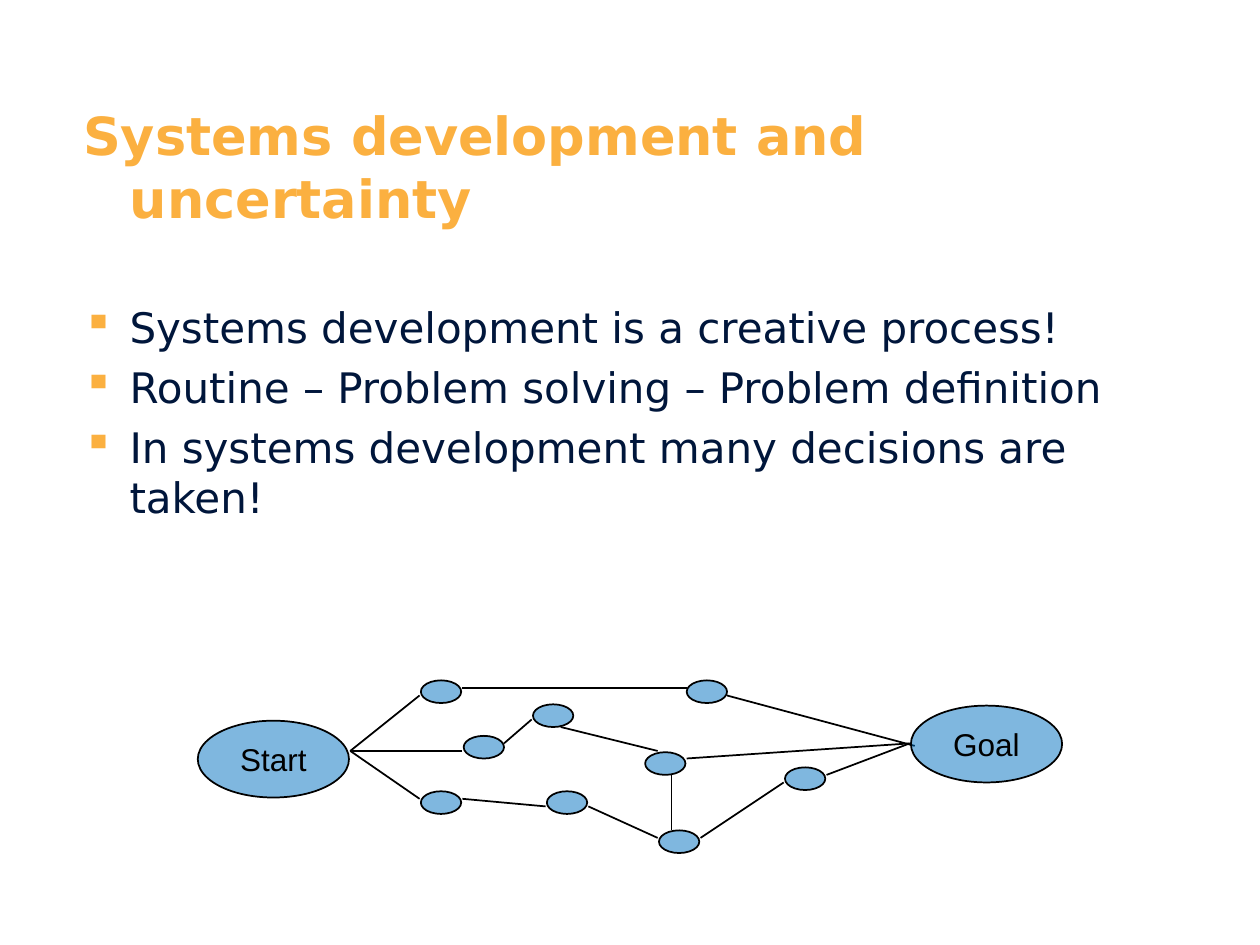
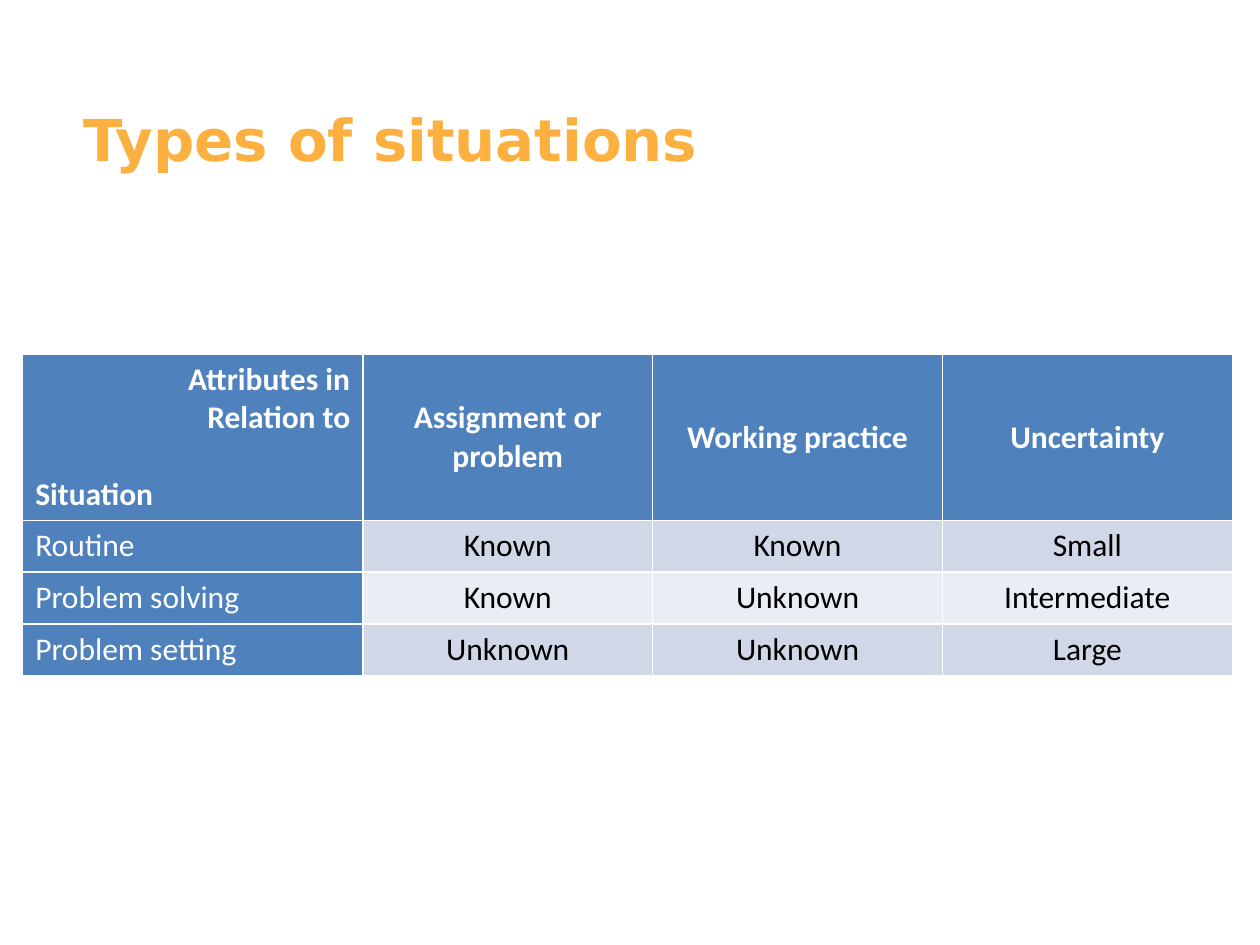
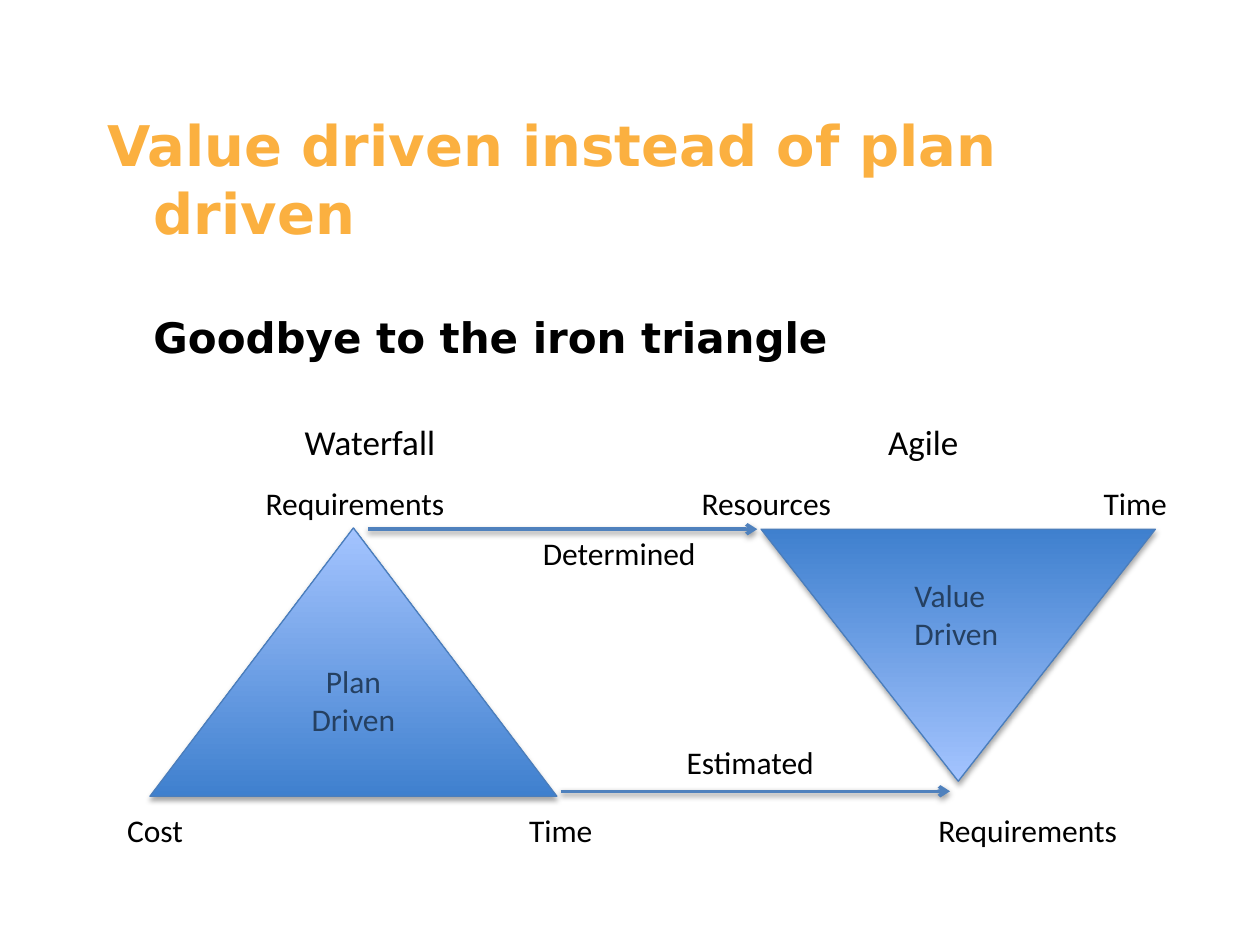
import pptx
import pptx.dml.color
import pptx.enum.dml
import pptx.enum.shapes
import pptx.enum.text
import pptx.oxml
import pptx.oxml.ns
import pptx.util
from lxml import etree

Inches, Pt = pptx.util.Inches, pptx.util.Pt
PP_ALIGN = pptx.enum.text.PP_ALIGN
ANCHOR = pptx.enum.text.MSO_ANCHOR
SHAPE = pptx.enum.shapes.MSO_SHAPE
STRAIGHT = pptx.enum.shapes.MSO_CONNECTOR.STRAIGHT
qn = pptx.oxml.ns.qn

ORANGE, NAVY, BLACK, WHITE = "FBB040", "00163B", "000000", "FFFFFF"
NODE_BLUE, TABLE_BLUE, TRIANGLE_TEXT = "0070C0", "4F81BD", "254061"
HEADING_FONT, LABEL_FONT, NODE_FONT = "DejaVu Sans", "Calibri", "Arial"
HANGING = Inches(0.37)


def colour(hex_value):
    return pptx.dml.color.RGBColor.from_string(hex_value)


def write(frame, text, font, size, hex_value, align=PP_ALIGN.LEFT, bold=False):
    """Fill a text frame with one formatted paragraph per line of text."""
    frame.text = text
    text_format = {"name": font, "size": Pt(size), "bold": bold}
    for paragraph in frame.paragraphs:
        paragraph.alignment = align
        for run in paragraph.runs:
            for attribute, value in text_format.items():
                setattr(run.font, attribute, value)
            run.font.color.rgb = colour(hex_value)


deck = pptx.Presentation()
deck.slide_width, deck.slide_height = Inches(10), Inches(7.5)

# Titles
titles = [
    ("Systems development and uncertainty", 30, 0.56, 0.77),
    ("Types of situations", 33, 0.56, 0.77),
    ("Value driven instead of plan driven", 32, 0.75, 0.83),
]
slides = []
for text, size, left, top in titles:
    slide = deck.slides.add_slide(deck.slide_layouts[5])
    title = slide.shapes.title
    title.left, title.top = Inches(left), Inches(top)
    title.width, title.height = Inches(8.84), Inches(1.25)
    title.text_frame.vertical_anchor = ANCHOR.TOP
    title.text_frame.auto_size = pptx.enum.text.MSO_AUTO_SIZE.NONE
    write(title.text_frame, text, HEADING_FONT, size, ORANGE, bold=True)
    indents = title.text_frame.paragraphs[0]._p.get_or_add_pPr()
    indents.set("marL", str(HANGING))
    indents.set("indent", str(-HANGING))
    slides.append(slide)
uncertainty, situations, value_driven = slides

# Systems development and uncertainty: statements
statements = uncertainty.shapes.add_textbox(
    Inches(0.56), Inches(2.34), Inches(8.84), Inches(2.5)).text_frame
statements.word_wrap = True
write(statements, "Systems development is a creative process!\n"
      "Routine – Problem solving – Problem definition\n"
      "In systems development many decisions are taken!",
      HEADING_FONT, 24, NAVY)
for paragraph in statements.paragraphs:
    paragraph.space_after = Pt(5.5)
    properties = paragraph._p.get_or_add_pPr()
    properties.set("marL", str(HANGING))
    properties.set("indent", str(-HANGING))
    bullet_colour = etree.SubElement(properties, qn("a:buClr"))
    etree.SubElement(bullet_colour, qn("a:srgbClr"), val=ORANGE)
    etree.SubElement(properties, qn("a:buChar"), char="▪")

# Paths of decisions from start to goal
start_exit, goal_entry = (2.78, 5.96), (7.22, 5.9)
paths = [
    ((5.77, 5.52), (7.26, 5.92)),
    (start_exit, (3.33, 5.52)), (start_exit, (3.67, 5.96)),
    (start_exit, (3.33, 6.34)), ((4, 5.9), (4.22, 5.71)),
    ((4.45, 5.77), (5.22, 5.96)), ((3.67, 5.46), (5.45, 5.46)),
    ((3.67, 6.34), (4.33, 6.4)), ((4.67, 6.4), (5.22, 6.65)),
    ((5.33, 6.59), (5.33, 6.15)), ((5.56, 6.65), (6.22, 6.21)),
    ((5.45, 6.02), goal_entry), ((6.56, 6.15), goal_entry),
]
for begin, end in paths:
    path_line = uncertainty.shapes.add_connector(
        STRAIGHT, *[Inches(value) for value in begin + end])
    path_line.line.color.rgb = colour(BLACK)
    path_line.line.width = Pt(1)
    etree.SubElement(path_line._element.spPr, qn("a:effectLst"))

decisions = [(3.34, 5.4), (3.68, 5.84), (4.23, 5.59), (4.34, 6.28), (3.34, 6.28),
             (5.12, 5.97), (5.23, 6.59), (6.23, 6.09), (5.45, 5.4)]
nodes = [(1.57, 5.72, 1.2, 0.61, "Start"), (7.23, 5.6, 1.2, 0.61, "Goal")]
nodes += [(left, top, 0.32, 0.18, "") for left, top in decisions]
for *place, name in nodes:
    node = uncertainty.shapes.add_shape(
        SHAPE.OVAL, *[Inches(value) for value in place])
    node.shadow.inherit = False
    node.fill.solid()
    node.fill.fore_color.rgb = colour(NODE_BLUE)
    etree.SubElement(node._element.spPr.find(".//" + qn("a:srgbClr")),
                     qn("a:alpha"), val="50000")
    node.line.color.rgb = colour(BLACK)
    node.line.width = Pt(1)
    if name:
        node.text_frame.word_wrap = False
        node.text_frame.vertical_anchor = ANCHOR.MIDDLE
        write(node.text_frame, name, NODE_FONT, 18, BLACK, PP_ALIGN.CENTER)

# Types of situations: table
rows = [
    ("Attributes in\nRelation to\nSituation", "Assignment or problem",
     "Working practice", "Uncertainty"),
    ("Routine", "Known", "Known", "Small"),
    ("Problem solving", "Known", "Unknown", "Intermediate"),
    ("Problem setting", "Unknown", "Unknown", "Large"),
]
band_fills = ["E9EDF4", "D0D8E8"]
table = situations.shapes.add_table(
    4, 4, Inches(0.18), Inches(2.81), Inches(9.6), Inches(2.51)).table
table.first_col = True
for column, width in zip(table.columns, (2.7, 2.3, 2.3, 2.3)):
    column.width = Inches(width)
for row, height in zip(table.rows, (1.28, 0.41, 0.41, 0.41)):
    row.height = Inches(height)
for r, row in enumerate(rows):
    for c, text in enumerate(row):
        cell = table.cell(r, c)
        heading = r == 0 or c == 0
        cell.fill.solid()
        cell.fill.fore_color.rgb = colour(TABLE_BLUE if heading else band_fills[r % 2])
        cell.vertical_anchor = ANCHOR.MIDDLE if r == 0 else ANCHOR.TOP
        write(cell.text_frame, text, LABEL_FONT, 18, WHITE if heading else BLACK,
              PP_ALIGN.CENTER if c else PP_ALIGN.LEFT, bold=r == 0)
corner = table.cell(0, 0)
corner.vertical_anchor = ANCHOR.BOTTOM
*attributes, situation = corner.text_frame.paragraphs
for paragraph in attributes:
    paragraph.alignment = PP_ALIGN.RIGHT
situation.space_before = Pt(22)

# Value driven instead of plan driven: subtitle
subtitle = value_driven.shapes.add_textbox(
    Inches(1.12), Inches(2.42), Inches(8), Inches(0.5)).text_frame
subtitle.word_wrap = True
write(subtitle, "Goodbye to the iron triangle", HEADING_FONT, 24, BLACK, bold=True)

# Triangles of waterfall and agile
shadowed = []
for left, top, width, height, turn, text in [
        (1.19, 4.19, 3.23, 2.13, 0, "Plan\nDriven"), (6.04, 4.2, 3.13, 2, 180, "")]:
    triangle = value_driven.shapes.add_shape(
        SHAPE.ISOSCELES_TRIANGLE, Inches(left), Inches(top), Inches(width), Inches(height))
    triangle.rotation = turn
    triangle.fill.gradient()
    triangle.fill.gradient_angle = 90
    for stop, shade in zip(triangle.fill.gradient_stops, ("3F80CE", "A4C4FF")):
        stop.color.rgb = colour(shade)
    triangle.line.color.rgb = colour("4B7EBC")
    triangle.line.width = Pt(0.75)
    triangle.shadow.inherit = False
    if text:
        triangle.text_frame.vertical_anchor = ANCHOR.TOP
        triangle.text_frame.margin_top = 0
        write(triangle.text_frame, text, LABEL_FONT, 18, TRIANGLE_TEXT, PP_ALIGN.CENTER)
    shadowed.append((triangle, 1.8, 35))

labels = [
    ("Waterfall", 2.32, 3.29, 1.25, 20, BLACK), ("Agile", 6.95, 3.29, 0.77, 20, BLACK),
    ("Requirements", 2.01, 3.79, 1.64, 18, BLACK), ("Resources", 5.47, 3.79, 1.24, 18, BLACK),
    ("Time", 8.66, 3.79, 0.71, 18, BLACK), ("Cost", 0.91, 6.39, 0.65, 18, BLACK),
    ("Time", 4.1, 6.39, 0.71, 18, BLACK), ("Requirements", 7.35, 6.39, 1.64, 18, BLACK),
    ("Determined", 4.21, 4.19, 1.43, 18, BLACK), ("Estimated", 5.35, 5.85, 1.22, 18, BLACK),
    ("Value\nDriven", 7.16, 4.52, 0.87, 18, TRIANGLE_TEXT),
]
for text, left, top, width, size, text_colour in labels:
    label = value_driven.shapes.add_textbox(
        Inches(left), Inches(top), Inches(width), Inches(0.71 if "\n" in text else 0.4))
    label.text_frame.word_wrap = False
    write(label.text_frame, text, LABEL_FONT, size, text_colour)

for left, y in [(2.92, 4.2), (4.45, 6.28)]:
    arrow = value_driven.shapes.add_connector(
        STRAIGHT, Inches(left), Inches(y), Inches(left + 3.09), Inches(y))
    arrow.line.color.rgb = colour(TABLE_BLUE)
    arrow.line.width = Pt(2)
    etree.SubElement(arrow._element.spPr.find(qn("a:ln")), qn("a:tailEnd"), type="arrow")
    etree.SubElement(arrow._element.spPr, qn("a:effectLst"))
    shadowed.append((arrow, 1.6, 38))

for shape, distance, opacity in shadowed:
    shadow = etree.SubElement(
        shape._element.spPr.find(qn("a:effectLst")), qn("a:outerShdw"),
        blurRad=str(Pt(3.1)), dist=str(Pt(distance)), dir="5400000", rotWithShape="0")
    shade = etree.SubElement(shadow, qn("a:srgbClr"), val=BLACK)
    etree.SubElement(shade, qn("a:alpha"), val=str(opacity * 1000))

deck.save("out.pptx")
